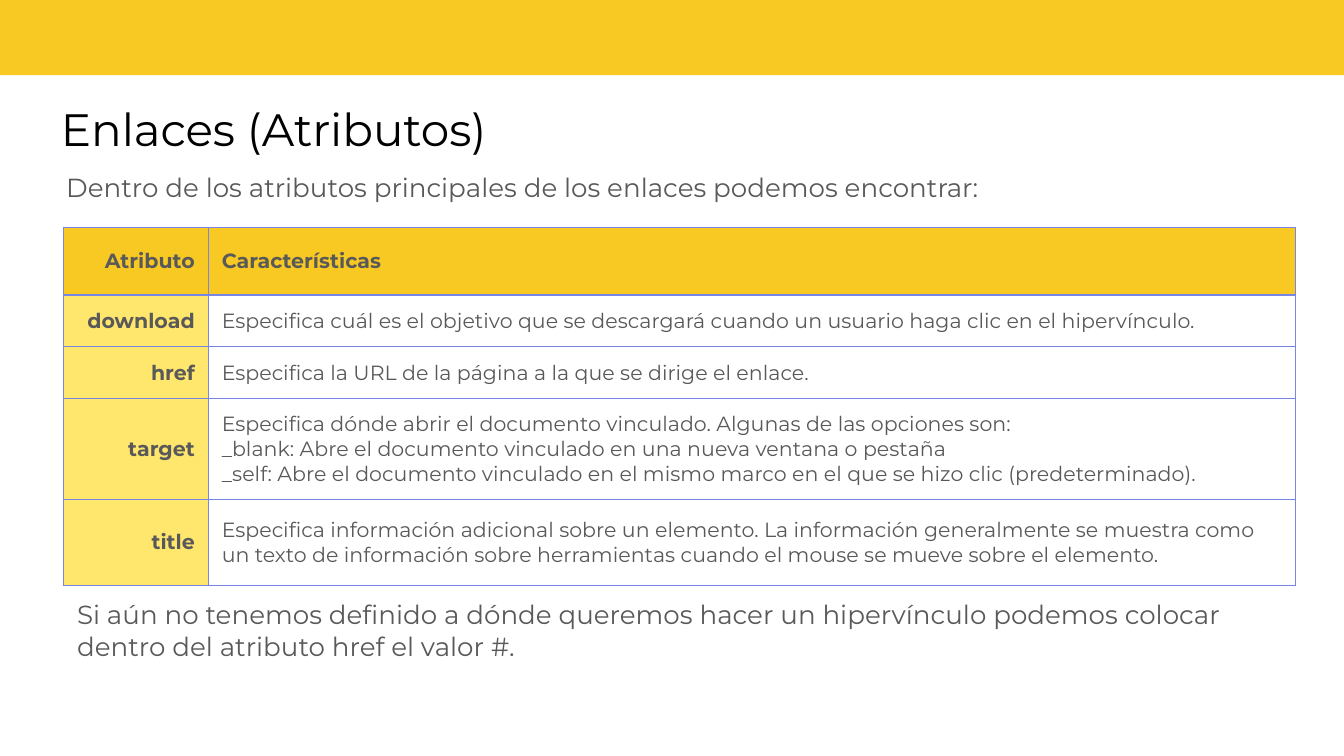
"""Build the slide on link attributes: banner, title, lead, table and closing note."""
from dataclasses import dataclass

from lxml.etree import SubElement
from pptx import Presentation
from pptx.dml.color import RGBColor as RGB
from pptx.enum.shapes import MSO_SHAPE as Shape
from pptx.enum.text import MSO_ANCHOR as Anchor, PP_ALIGN as Align
from pptx.oxml.ns import qn
from pptx.slide import Slide
from pptx.table import _Cell as Cell
from pptx.text.text import TextFrame
from pptx.util import Emu, Pt

PX = 4572
INSET = 20


@dataclass(frozen=True)
class Theme:
    font: str = "Montserrat"
    banner: str = "F8C823"
    label: str = "FFE66D"
    border: str = "7685E6"
    heading: str = "000000"
    text: str = "595959"
    title_size: float = 24.3
    body_size: float = 14
    cell_size: float = 11
    border_width: float = 0.75


@dataclass(frozen=True)
class Box:
    left: int
    top: int
    width: int
    height: int

    def emu(self) -> tuple[Emu, ...]:
        return tuple(px(n) for n in (self.left, self.top, self.width, self.height))


@dataclass(frozen=True)
class TextBlock:
    box: Box
    text: str
    size: float
    color: str
    spacing: float = 1.0


@dataclass(frozen=True)
class Row:
    height: int
    name: str
    lines: tuple[str, ...]


T = Theme()
SLIDE = Box(0, 0, 2000, 1125)
BANNER = Box(-2, -10, 2006, 122)
TABLE = Box(94, 339, 1834, 530)
COLUMNS = (216, 1618)
BLOCKS = (
    TextBlock(Box(71, 130, 1860, 126), "Enlaces (Atributos)", T.title_size, T.heading),
    TextBlock(Box(79, 240, 1812, 82),
              "Dentro de los atributos principales de los enlaces podemos encontrar:",
              T.body_size, T.text, 0.9),
    TextBlock(Box(95, 871, 1812, 148),
              "Si aún no tenemos definido a dónde queremos hacer un hipervínculo "
              "podemos colocar dentro del atributo href el valor #.",
              T.body_size, T.text),
)
ROWS = (
    Row(100, "Atributo", ("Características",)),
    Row(77, "download", ("Especifica cuál es el objetivo que se descargará cuando "
                         "un usuario haga clic en el hipervínculo.",)),
    Row(77, "href", ("Especifica la URL de la página a la que se dirige el enlace.",)),
    Row(143, "target", (
        "Especifica dónde abrir el documento vinculado. Algunas de las opciones son:",
        "_blank: Abre el documento vinculado en una nueva ventana o pestaña",
        "_self: Abre el documento vinculado en el mismo marco en el que se hizo clic "
        "(predeterminado).")),
    Row(128, "title", ("Especifica información adicional sobre un elemento. La información "
                       "generalmente se muestra como un texto de información sobre "
                       "herramientas cuando el mouse se mueve sobre el elemento.",)),
)


def px(n: int) -> Emu:
    return Emu(n * PX)


def write(tf: TextFrame, lines: tuple[str, ...], size: float, color: str,
          bold: bool = False, align: Align = Align.LEFT, spacing: float = 1.0) -> None:
    for i, line in enumerate(lines):
        p = tf.add_paragraph() if i else tf.paragraphs[0]
        p.alignment, p.line_spacing = align, spacing
        r = p.add_run()
        r.text = line
        r.font.name, r.font.size, r.font.bold = T.font, Pt(size), bold
        r.font.color.rgb = RGB.from_string(color)


def add_banner(s: Slide) -> None:
    sp = s.shapes.add_shape(Shape.RECTANGLE, *BANNER.emu())
    sp.shadow.inherit = False
    sp.fill.solid()
    sp.fill.fore_color.rgb = RGB.from_string(T.banner)
    sp.line.fill.background()


def add_block(s: Slide, block: TextBlock) -> None:
    tf = s.shapes.add_textbox(*block.box.emu()).text_frame
    tf.word_wrap = True
    tf.margin_left = tf.margin_right = tf.margin_top = tf.margin_bottom = px(INSET)
    write(tf, (block.text,), block.size, block.color, spacing=block.spacing)


def style_cell(cell: Cell, fill: str | None) -> None:
    cell.vertical_anchor = Anchor.MIDDLE
    cell.margin_left = cell.margin_right = cell.margin_top = cell.margin_bottom = px(INSET)
    tc_pr = cell._tc.get_or_add_tcPr()
    for side in ("lnL", "lnR", "lnT", "lnB"):
        ln = SubElement(tc_pr, qn(f"a:{side}"), w=str(Pt(T.border_width)))
        SubElement(SubElement(ln, qn("a:solidFill")), qn("a:srgbClr"), val=T.border)
    if fill:
        cell.fill.solid()
        cell.fill.fore_color.rgb = RGB.from_string(fill)
    else:
        cell.fill.background()


def add_attribute_table(s: Slide) -> None:
    table = s.shapes.add_table(len(ROWS), len(COLUMNS), *TABLE.emu()).table
    table.horz_banding = table.first_row = False
    for col, width in zip(table.columns, COLUMNS):
        col.width = px(width)
    for i, row in enumerate(ROWS):
        header = i == 0
        table.rows[i].height = px(row.height)
        name, details = table.cell(i, 0), table.cell(i, 1)
        style_cell(name, T.banner if header else T.label)
        style_cell(details, T.banner if header else None)
        write(name.text_frame, (row.name,), T.cell_size, T.text, True, Align.RIGHT)
        write(details.text_frame, row.lines, T.cell_size, T.text, header)


def main() -> None:
    prs = Presentation()
    prs.slide_width, prs.slide_height = px(SLIDE.width), px(SLIDE.height)
    s = prs.slides.add_slide(prs.slide_layouts[6])
    add_banner(s)
    for block in BLOCKS:
        add_block(s, block)
    add_attribute_table(s)
    prs.save("out.pptx")


if __name__ == "__main__":
    main()
